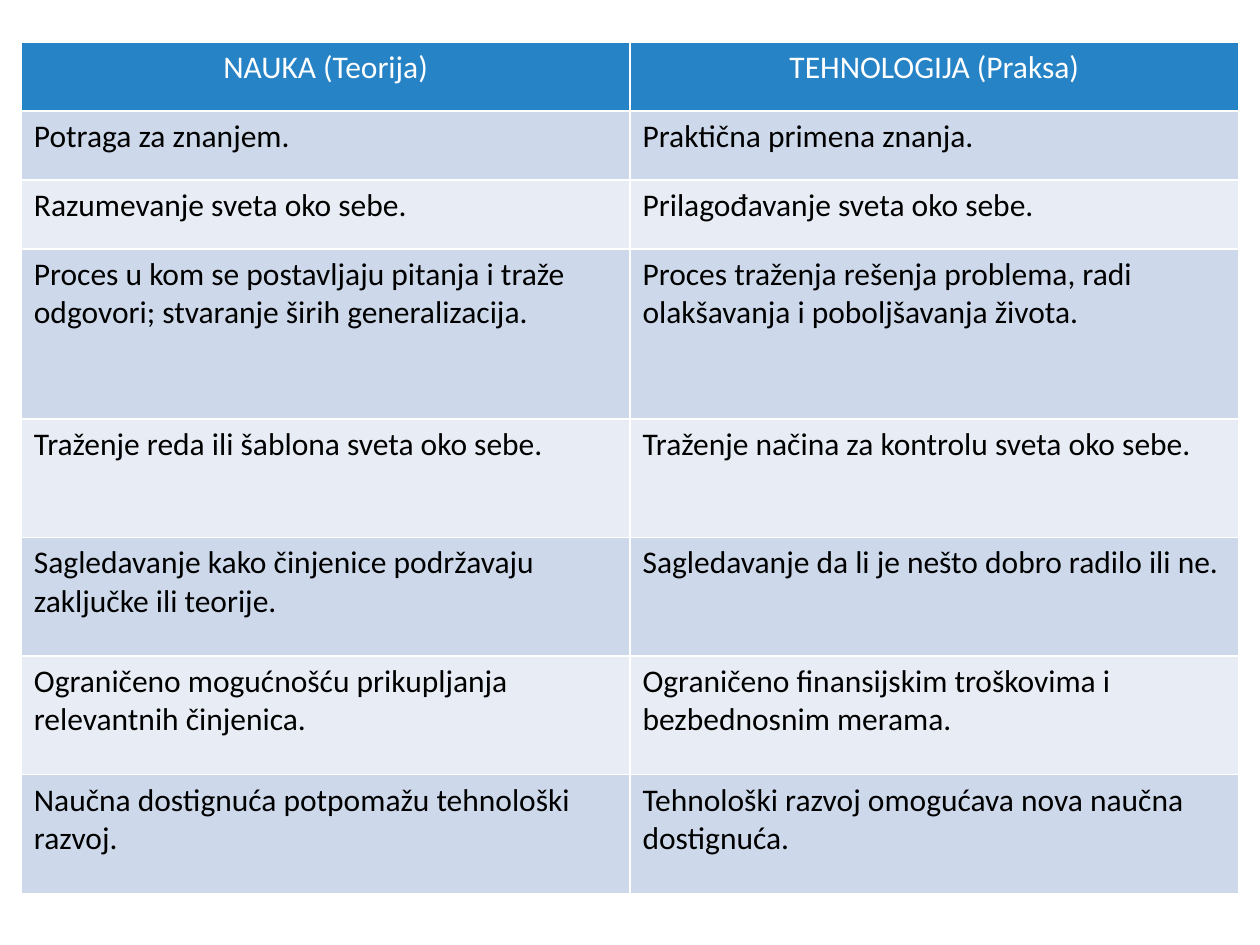
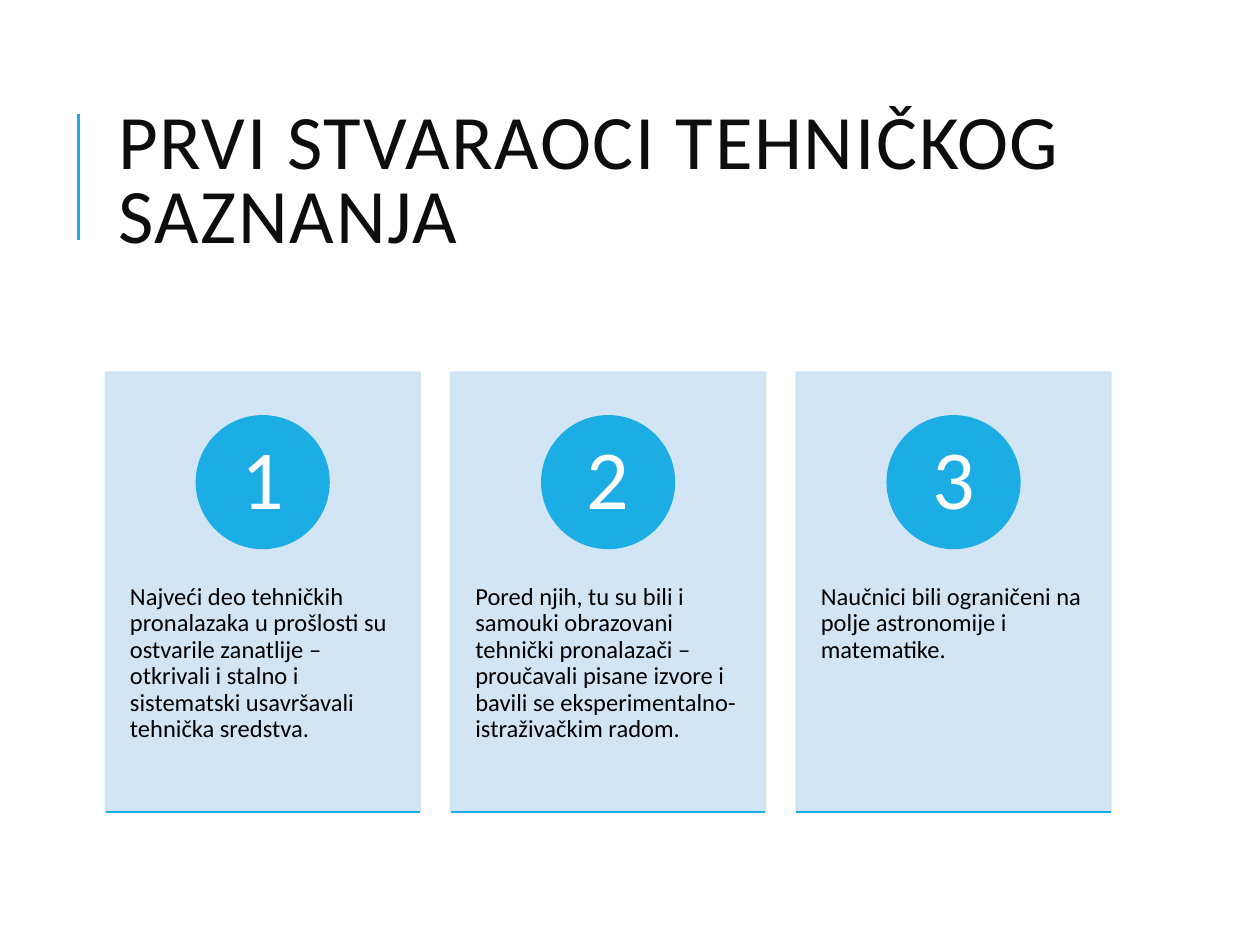
import lxml.etree
import pptx
import pptx.dml.color
import pptx.enum.shapes
import pptx.enum.text
import pptx.oxml.ns
import pptx.util

Cm = pptx.util.Cm
Pt = pptx.util.Pt
PP_ALIGN = pptx.enum.text.PP_ALIGN
MSO_ANCHOR = pptx.enum.text.MSO_ANCHOR
MSO_SHAPE = pptx.enum.shapes.MSO_SHAPE
qn = pptx.oxml.ns.qn

FONT = "Calibri"
COLORS = {
    "accent": "1CADE4",
    "header": "2683C6",
    "band_dark": "CDD9EA",
    "band_light": "E8EDF5",
    "card": "CDE3F5",
    "title": "0D0D0D",
    "text": "000000",
    "white": "FFFFFF",
}

COMPARISON = [
    ("NAUKA (Teorija)", "TEHNOLOGIJA (Praksa)"),
    ("Potraga za znanjem.", "Praktična primena znanja."),
    ("Razumevanje sveta oko sebe.", "Prilagođavanje sveta oko sebe."),
    ("Proces u kom se postavljaju pitanja i traže odgovori; stvaranje širih generalizacija.",
     "Proces traženja rešenja problema, radi olakšavanja i poboljšavanja života."),
    ("Traženje reda ili šablona sveta oko sebe.",
     "Traženje načina za kontrolu sveta oko sebe."),
    ("Sagledavanje kako činjenice podržavaju zaključke ili teorije.",
     "Sagledavanje da li je nešto dobro radilo ili ne."),
    ("Ograničeno mogućnošću prikupljanja relevantnih činjenica.",
     "Ograničeno finansijskim troškovima i bezbednosnim merama."),
    ("Naučna dostignuća potpomažu tehnološki razvoj.",
     "Tehnološki razvoj omogućava nova naučna dostignuća."),
]
ROW_HEIGHTS = [1.39] * 3 + [3.43] + [2.39] * 4

CREATORS = [
    "Najveći deo tehničkih pronalazaka u prošlosti su ostvarile zanatlije – "
    "otkrivali i stalno i sistematski usavršavali tehnička sredstva.",
    "Pored njih, tu su bili i samouki obrazovani tehnički pronalazači – "
    "proučavali pisane izvore i bavili se eksperimentalno-istraživačkim radom.",
    "Naučnici bili ograničeni na polje astronomije i matematike.",
]


def rgb(name):
    return pptx.dml.color.RGBColor.from_string(COLORS[name])


def write(tf, text, size, color, align=PP_ALIGN.LEFT, spacing=None):
    p = tf.paragraphs[0]
    p.alignment = align
    p.line_spacing = spacing
    r = p.add_run()
    r.text = text
    r.font.name = FONT
    r.font.size = Pt(size)
    r.font.bold = False
    r.font.color.rgb = rgb(color)
    return r


def set_frame(tf, horizontal, vertical, anchor):
    tf.word_wrap = True
    tf.auto_size = pptx.enum.text.MSO_AUTO_SIZE.NONE
    tf.vertical_anchor = anchor
    tf.margin_left = tf.margin_right = Cm(horizontal)
    tf.margin_top = tf.margin_bottom = Cm(vertical)


def add_line(slide, x1, y1, x2, y2, width):
    line = slide.shapes.add_connector(
        pptx.enum.shapes.MSO_CONNECTOR.STRAIGHT, Cm(x1), Cm(y1), Cm(x2), Cm(y2))
    line.line.color.rgb = rgb("accent")
    line.line.width = Pt(width)
    lxml.etree.SubElement(line._element.spPr, qn("a:effectLst"))
    return line


def add_master_accent(prs, slide):
    """Draw the accent line and move it to the master, which all slides share."""
    line = add_line(slide, 1.58, 4.83, 1.58, 2.29, 1.5)
    prs.slide_master.shapes._spTree.append(line._element)


def add_solid(slide, kind, left, top, width, height, color, opacity=100):
    """Add a shape whose fill and outline share one colour and opacity."""
    sp = slide.shapes.add_shape(kind, Cm(left), Cm(top), Cm(width), Cm(height))
    sp.shadow.inherit = False
    sp.fill.solid()
    sp.fill.fore_color.rgb = rgb(color)
    sp.line.color.rgb = rgb(color)
    sp.line.width = Pt(1.25)
    if opacity < 100:
        for clr in sp._element.spPr.iter(qn("a:srgbClr")):
            lxml.etree.SubElement(clr, qn("a:alpha"), val=str(opacity * 1000))
    return sp


def border_cell(cell, color, width):
    tc_pr = cell._tc.get_or_add_tcPr()
    for side in ("lnL", "lnR", "lnT", "lnB"):
        ln = lxml.etree.SubElement(tc_pr, qn(f"a:{side}"), w=str(Pt(width)))
        fill = lxml.etree.SubElement(ln, qn("a:solidFill"))
        lxml.etree.SubElement(fill, qn("a:srgbClr"), val=COLORS[color])


def add_comparison_table(slide, left, top, width):
    frame = slide.shapes.add_table(len(COMPARISON), 2, Cm(left), Cm(top),
                                   Cm(width), Cm(sum(ROW_HEIGHTS)))
    table = frame.table
    for column in table.columns:
        column.width = Cm(width / 2)
    for i, (texts, height) in enumerate(zip(COMPARISON, ROW_HEIGHTS)):
        table.rows[i].height = Cm(height)
        if i == 0:
            fill, color, align = "header", "white", PP_ALIGN.CENTER
        else:
            fill = "band_dark" if i % 2 else "band_light"
            color, align = "text", PP_ALIGN.LEFT
        for cell, text in zip(table.rows[i].cells, texts):
            border_cell(cell, "white", 1)
            cell.fill.solid()
            cell.fill.fore_color.rgb = rgb(fill)
            write(cell.text_frame, text, 18, color, align)


def add_title(slide, text, left, top, width, height):
    title = slide.shapes.title
    title.left, title.top, title.width, title.height = map(Cm, (left, top, width, height))
    set_frame(title.text_frame, 0.25, 0.13, MSO_ANCHOR.MIDDLE)
    r = write(title.text_frame, text, 44, "title", spacing=0.8)
    r._r.get_or_add_rPr().set("spc", "100")


def add_card(slide, number, text, left, top, width, height):
    add_solid(slide, MSO_SHAPE.RECTANGLE, left, top, width, height, "card", 90)

    box = slide.shapes.add_textbox(Cm(left), Cm(top + 3.36), Cm(width), Cm(5.31))
    set_frame(box.text_frame, 0.49, 0.91, MSO_ANCHOR.TOP)
    write(box.text_frame, text, 14, "text", spacing=0.9)

    diameter = 2.66
    badge = add_solid(slide, MSO_SHAPE.OVAL, left + (width - diameter) / 2, top + 0.88,
                      diameter, diameter, "accent")
    set_frame(badge.text_frame, 0.2, 0.03, MSO_ANCHOR.MIDDLE)
    write(badge.text_frame, str(number), 48, "white", PP_ALIGN.CENTER, 0.9)

    add_line(slide, left, top + height, left + width, top + height, 1.25)


def add_cards(slide, left, top, width, height, gap):
    card_width = (width - gap * (len(CREATORS) - 1)) / len(CREATORS)
    for i, text in enumerate(CREATORS):
        add_card(slide, i + 1, text, left + i * (card_width + gap), top, card_width, height)


def build_comparison_slide(prs):
    slide = prs.slides.add_slide(prs.slide_layouts[6])
    add_master_accent(prs, slide)
    add_comparison_table(slide, 0.43, 0.85, 24.54)


def build_creators_slide(prs):
    slide = prs.slides.add_slide(prs.slide_layouts[5])
    add_title(slide, "PRVI STVARAOCI TEHNIČKOG SAZNANJA", 2.13, 1.63, 20.25, 4.17)
    add_cards(slide, 2.13, 7.51, 20.26, 8.86, 0.63)


def main():
    prs = pptx.Presentation()
    prs.slide_width, prs.slide_height = Cm(25.4), Cm(19.05)
    build_comparison_slide(prs)
    build_creators_slide(prs)
    prs.save("out.pptx")


if __name__ == "__main__":
    main()
